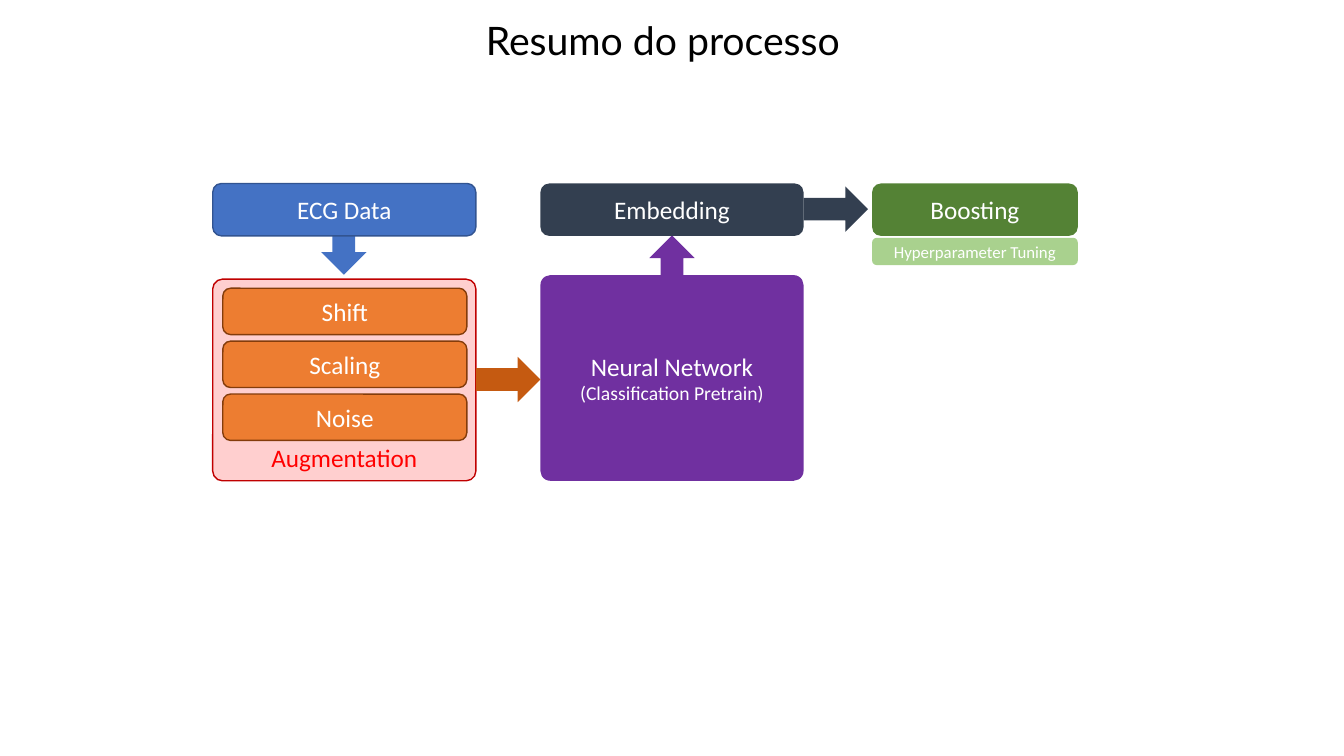
from dataclasses import dataclass

import pptx
import pptx.dml.color
import pptx.enum.shapes
import pptx.enum.text
import pptx.oxml
import pptx.oxml.ns
import pptx.util

Inches = pptx.util.Inches
Pt = pptx.util.Pt
Kind = pptx.enum.shapes.MSO_SHAPE
Align = pptx.enum.text.PP_ALIGN
Anchor = pptx.enum.text.MSO_ANCHOR


@dataclass(frozen=True)
class Theme:
    head: str = "Lato"
    body: str = "Calibri"
    title: int = 28
    label: int = 18
    note: int = 14
    small: int = 12
    black: str = "000000"
    white: str = "FFFFFF"
    blue: str = "4472C4"
    navy: str = "325491"
    red: str = "FF0000"
    wine: str = "C00000"
    orange: str = "ED7D31"
    brown: str = "843C0B"
    rust: str = "C55A11"
    purple: str = "7030A0"
    slate: str = "333F50"
    green: str = "548235"
    lime: str = "A9D18E"


THEME = Theme()

# Shared grid
LEFT, MID, RIGHT = 2.11, 5.36, 8.65
TOP, ROW = 1.82, 0.52
WIDE, SLIM = 2.61, 2.04
ARROW, THICK = 0.64, 0.45


def rgb(code):
    return pptx.dml.color.RGBColor.from_string(code)


def style(para, size, color, font=THEME.body):
    para.font.size = Pt(size)
    para.font.name = font
    para.font.color.rgb = rgb(color)


def add_form(shapes, kind, place, fill, line=None):
    form = shapes.add_shape(kind, *map(Inches, place))
    form.shadow.inherit = False
    form.fill.solid()
    form.fill.fore_color.rgb = rgb(fill)
    if line:
        form.line.color.rgb = rgb(line)
        form.line.width = Pt(1)
    else:
        form.line.fill.background()
    return form


def add_box(shapes, place, lines, fill, line=None, color=THEME.white,
            anchor=Anchor.MIDDLE, curve=None):
    """Rounded box; lines holds (text, size) pairs."""
    box = add_form(shapes, Kind.ROUNDED_RECTANGLE, place, fill, line)
    if curve:
        box.adjustments[0] = curve
    frame = box.text_frame
    frame.word_wrap = True
    frame.vertical_anchor = anchor
    frame.text = "\n".join(text for text, size in lines)
    for para, (text, size) in zip(frame.paragraphs, lines):
        para.alignment = Align.CENTER
        style(para, size, color)
    return box


def add_arrow(shapes, left, top, fill, turn=0, length=ARROW):
    arrow = add_form(shapes, Kind.RIGHT_ARROW, (left, top, length, THICK), fill)
    arrow.rotation = turn


def set_alpha(shape, share):
    tone = shape.fill._xPr.find(".//" + pptx.oxml.ns.qn("a:srgbClr"))
    alpha = pptx.oxml.parse_xml(
        "<a:alpha %s val='%d'/>" % (pptx.oxml.ns.nsdecls("a"), share * 100000))
    tone.append(alpha)


def add_title(shapes, text):
    box = shapes.add_textbox(*map(Inches, (4.72, 0.11, 3.9, 0.57)))
    frame = box.text_frame
    frame.word_wrap = False
    frame.auto_size = pptx.enum.text.MSO_AUTO_SIZE.SHAPE_TO_FIT_TEXT
    frame.text = text
    style(frame.paragraphs[0], THEME.title, THEME.black, THEME.head)


def add_group(shapes):
    """Augmentation panel with its evenly spaced steps."""
    parts = shapes.add_group_shape().shapes
    panel = add_box(parts, (LEFT, 2.77, WIDE, 2), [("Augmentation", THEME.label)],
                    THEME.red, THEME.wine, THEME.red, Anchor.BOTTOM, 0.048)
    set_alpha(panel, 0.19)
    for row, name in enumerate(("Shift", "Scaling", "Noise")):
        add_box(parts, (LEFT + 0.1, 2.86 + row * 0.525, 2.42, 0.46),
                [(name, THEME.label)], THEME.orange, THEME.brown)


def main():
    deck = pptx.Presentation()
    deck.slide_width, deck.slide_height = Inches(13.33), Inches(7.5)
    shapes = deck.slides.add_slide(deck.slide_layouts[6]).shapes
    add_title(shapes, "Resumo do processo")

    # Data and augmentation
    add_arrow(shapes, 3.15, 2.24, THEME.blue, 90, ROW)
    add_box(shapes, (LEFT, TOP, WIDE, ROW), [("ECG Data", THEME.label)],
            THEME.blue, THEME.navy)
    add_group(shapes)

    # Network and embedding
    add_box(shapes, (MID, 2.73, WIDE, SLIM),
            [("Neural Network", THEME.label),
             ("(Classification Pretrain)", THEME.note)],
            THEME.purple, curve=0.048)
    add_arrow(shapes, LEFT + WIDE, 3.54, THEME.rust)
    add_arrow(shapes, MID + (WIDE - ARROW) / 2, 2.43, THEME.purple, 270)
    add_box(shapes, (MID, TOP, WIDE, ROW), [("Embedding", THEME.label)], THEME.slate)

    # Boosting
    add_arrow(shapes, MID + WIDE, 1.85, THEME.slate)
    add_box(shapes, (RIGHT, TOP, SLIM, ROW), [("Boosting", THEME.label)], THEME.green)
    add_box(shapes, (RIGHT, 2.36, SLIM, 0.27),
            [("Hyperparameter Tuning", THEME.small)], THEME.lime)

    deck.save("out.pptx")


main()
